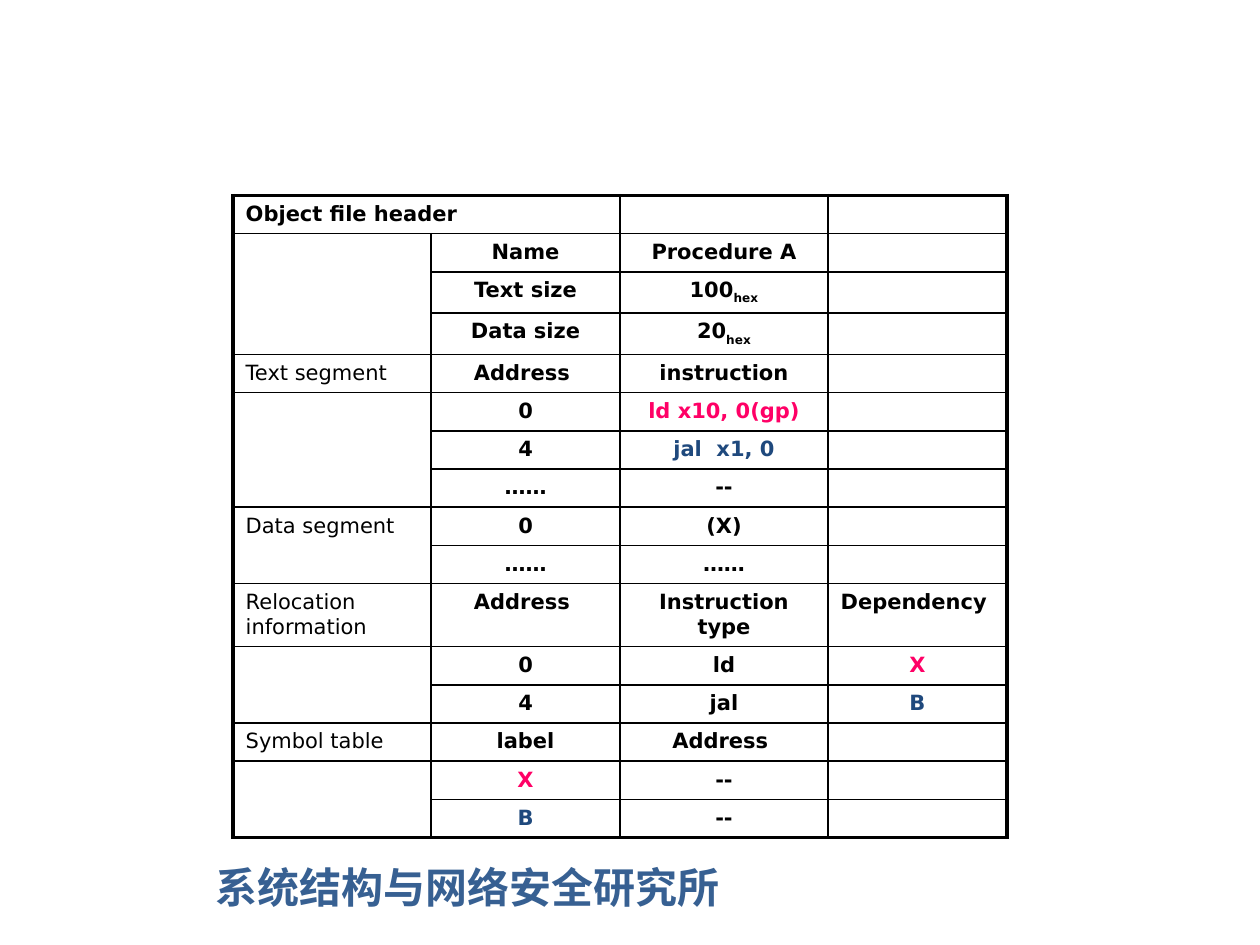
import dataclasses
import typing

import lxml.etree
import pptx
import pptx.dml.color
import pptx.enum.text
import pptx.oxml.ns
import pptx.util

Cm = pptx.util.Cm
Pt = pptx.util.Pt
qn = pptx.oxml.ns.qn


@dataclasses.dataclass(frozen=True)
class Theme:
    ink: str = "000000"
    pink: str = "FF0066"
    navy: str = "1F497D"
    steel: str = "376092"
    font: str = "DejaVu Sans"
    han: str = "Noto Sans CJK SC"
    cell: int = 12
    foot: int = 24
    thin: float = 1
    thick: float = 2.25


class Row(typing.NamedTuple):
    head: str = ""
    key: str = ""
    value: str = ""
    note: str = ""
    high: float = 0.77


THEME = Theme()
WIDTHS = (3.99, 3.81, 4.19, 3.61)
TINTS = {"X": THEME.pink, "ld x10, 0(gp)": THEME.pink,
         "B": THEME.navy, "jal  x1, 0": THEME.navy}
# An underscore marks the start of a subscript.
ROWS = (
    Row("Object file header"),
    Row("", "Name", "Procedure A"),
    Row("", "Text size", "100_hex", high=0.83),
    Row("", "Data size", "20_hex", high=0.83),
    Row("Text segment", "Address ", "instruction"),
    Row("", "0", "ld x10, 0(gp)"),
    Row("", "4", "jal  x1, 0"),
    Row("", "……", "--"),
    Row("Data segment", "0", "(X)"),
    Row("", "……", "……"),
    Row("Relocation information", "Address ", "Instruction type",
        "Dependency ", high=1.27),
    Row("", "0", "ld", "X"),
    Row("", "4", "jal", "B"),
    Row("Symbol table", "label", "Address "),
    Row("", "X", "--"),
    Row("", "B", "--"),
)
# First and last row of each merged block in the left column.
BLOCKS = ((1, 3), (5, 7), (8, 9), (11, 12), (14, 15))


def style_run(run, size: int, tint: str, bold: bool, font: str) -> None:
    run.font.size = Pt(size)
    run.font.bold = bold
    run.font.name = font
    run.font.color.rgb = pptx.dml.color.RGBColor.from_string(tint)
    east = lxml.etree.SubElement(run.font._element, qn("a:ea"))
    east.set("typeface", font)


def fill_cell(cell, text: str, bold: bool, centred: bool) -> None:
    para = cell.text_frame.paragraphs[0]
    if centred:
        para.alignment = pptx.enum.text.PP_ALIGN.CENTER
    base, _, sub = text.partition("_")
    for word in filter(None, (base, sub)):
        run = para.add_run()
        run.text = word
        style_run(run, THEME.cell, TINTS.get(text, THEME.ink), bold, THEME.font)
    if sub:
        run.font._element.set("baseline", "-25000")
    # Keeps an empty cell from growing to the default type size.
    end = lxml.etree.SubElement(para._p, qn("a:endParaRPr"))
    end.set("sz", str(THEME.cell * 100))


def rule_cell(cell, row: int, col: int) -> None:
    """Draw thick lines on the table's rim and thin lines inside it."""
    rims = {"L": col == 0, "R": col + cell.span_width == len(WIDTHS),
            "T": row == 0, "B": row + cell.span_height == len(ROWS)}
    props = cell._tc.get_or_add_tcPr()
    for side, rim in rims.items():
        line = lxml.etree.SubElement(props, qn("a:ln" + side))
        line.set("w", str(Pt(THEME.thick if rim else THEME.thin)))
        fill = lxml.etree.SubElement(line, qn("a:solidFill"))
        lxml.etree.SubElement(fill, qn("a:srgbClr")).set("val", THEME.ink)


def draw_table(slide) -> None:
    frame = slide.shapes.add_table(
        len(ROWS), len(WIDTHS), Cm(4.7), Cm(3.94),
        Cm(sum(WIDTHS)), Cm(sum(row.high for row in ROWS)))
    table = frame.table
    table.first_row = table.horz_banding = False
    for column, width in zip(table.columns, WIDTHS):
        column.width = Cm(width)
    table.cell(0, 0).merge(table.cell(0, 1))
    for first, last in BLOCKS:
        table.cell(first, 0).merge(table.cell(last, 0))
    for r, row in enumerate(ROWS):
        table.rows[r].height = Cm(row.high)
        for c, text in enumerate((row.head, row.key, row.value, row.note)):
            cell = table.cell(r, c)
            fill_cell(cell, text, bold=c > 0 or r == 0, centred=c > 0)
            if not cell.is_spanned:
                rule_cell(cell, r, c)
            cell.fill.background()


def draw_foot(slide) -> None:
    box = slide.shapes.add_textbox(Cm(4.09), Cm(17.25), Cm(13.41), Cm(1.27))
    frame = box.text_frame
    frame.word_wrap = True
    frame.text = "系统结构与网络安全研究所"
    style_run(frame.paragraphs[0].runs[0], THEME.foot, THEME.steel, True,
              THEME.han)


def main() -> None:
    deck = pptx.Presentation()
    deck.slide_width, deck.slide_height = Cm(25.4), Cm(19.05)
    slide = deck.slides.add_slide(deck.slide_layouts[6])
    draw_foot(slide)
    draw_table(slide)
    deck.save("out.pptx")


if __name__ == "__main__":
    main()
